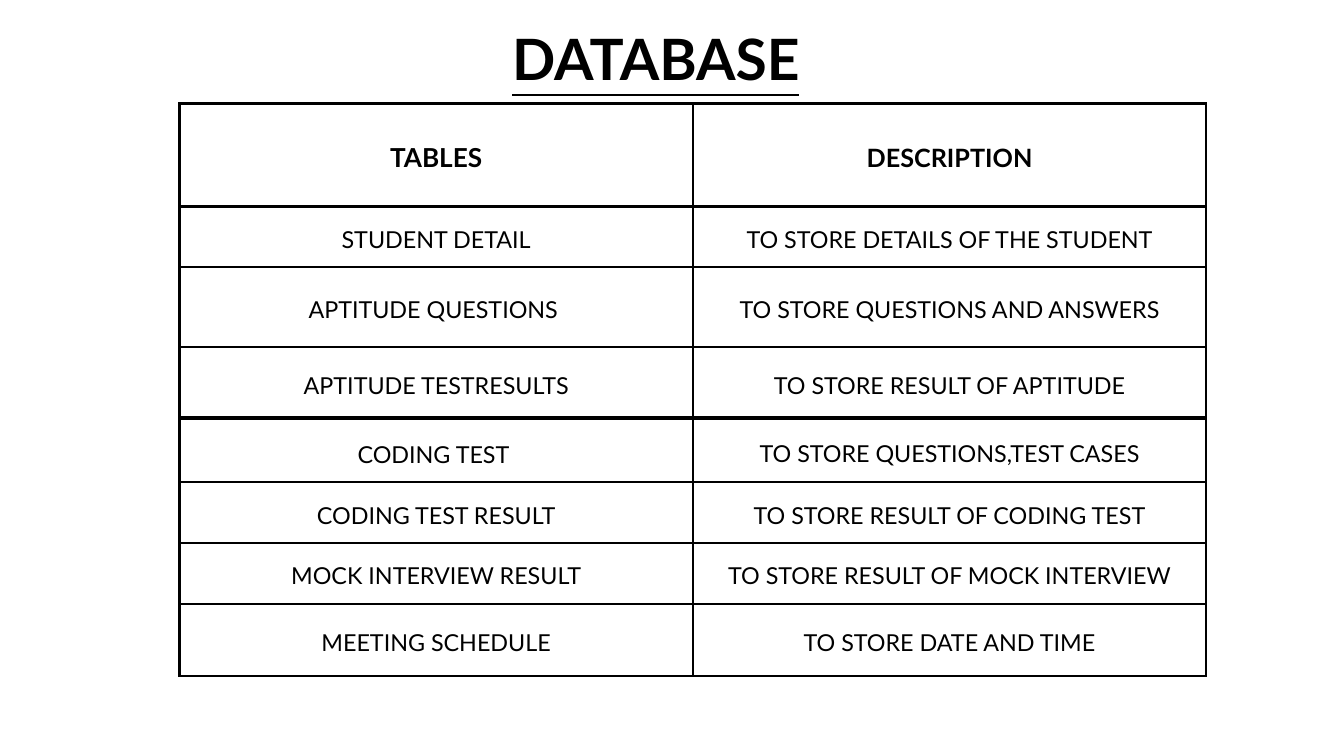
from dataclasses import dataclass

from lxml import etree
from pptx import Presentation, util as u
from pptx.dml.color import RGBColor
from pptx.enum import text
from pptx.oxml.ns import qn


@dataclass(frozen=True)
class Theme:
    font: str = "Lato"
    ink: str = "000000"
    title_size: int = 61
    heading_sizes: tuple = (28, 27)
    body_size: int = 25
    leading: float = 1.4
    border: int = 3
    cell_inset: float = 0.21


THEME = Theme()
SLIDE_WIDTH, SLIDE_HEIGHT = 20, 11.25
TABLE_LEFT, TABLE_TOP, COLUMN_WIDTH = 2.67, 1.54, 7.64

# Each row: height, table name, description
STUDENT_ROWS = [
    (1.53, "TABLES", "DESCRIPTION"),
    (0.81, "STUDENT DETAIL", "TO STORE DETAILS OF THE STUDENT"),
    (1.19, "APTITUDE QUESTIONS ", "TO STORE QUESTIONS AND ANSWERS"),
    (1.07, "APTITUDE TESTRESULTS", "TO STORE RESULT OF APTITUDE"),
]
CODING_ROWS = [
    (0.92, "CODING TEST ", "TO STORE QUESTIONS,TEST CASES"),
    (0.61, "CODING TEST RESULT", "TO STORE RESULT OF CODING TEST"),
    (0.79, "MOCK INTERVIEW RESULT", "TO STORE RESULT OF MOCK INTERVIEW"),
    (1.07, "MEETING SCHEDULE", "TO STORE DATE AND TIME"),
]


def style_paragraph(paragraph, size, bold=False, leading_size=None):
    """Centre a paragraph; leading_size sets line spacing when it differs from size."""
    paragraph.alignment = text.PP_ALIGN.CENTER
    paragraph.line_spacing = u.Pt(round((leading_size or size) * THEME.leading, 1))
    font = paragraph.font
    font.name, font.size, font.bold = THEME.font, u.Pt(size), bold
    font.color.rgb = RGBColor.from_string(THEME.ink)


def add_borders(cell):
    properties = cell._tc.get_or_add_tcPr()
    for position, side in enumerate(("lnL", "lnR", "lnT", "lnB")):
        line = etree.Element(qn(f"a:{side}"), w=str(u.Pt(THEME.border)))
        fill = etree.SubElement(line, qn("a:solidFill"))
        etree.SubElement(fill, qn("a:srgbClr"), val=THEME.ink)
        properties.insert(position, line)


def fill_cell(cell, wording, size, bold, leading_size):
    cell.text = wording
    cell.vertical_anchor = text.MSO_ANCHOR.MIDDLE
    cell.margin_left = cell.margin_right = u.Inches(THEME.cell_inset)
    cell.margin_top = cell.margin_bottom = u.Inches(THEME.cell_inset)
    cell.fill.background()
    style_paragraph(cell.text_frame.paragraphs[0], size, bold, leading_size)
    add_borders(cell)


def add_listing(slide, top, height, rows, has_heading):
    """Add a two-column table; its first row is leaded like a heading in any case."""
    table = slide.shapes.add_table(
        len(rows), 2, u.Inches(TABLE_LEFT), u.Inches(top),
        u.Inches(2 * COLUMN_WIDTH), u.Inches(height)).table
    table.first_row = has_heading
    table.horz_banding = False
    for column in table.columns:
        column.width = u.Inches(COLUMN_WIDTH)
    for row_index, (row_height, *wordings) in enumerate(rows):
        table.rows[row_index].height = u.Inches(row_height)
        is_heading = has_heading and row_index == 0
        for column_index, wording in enumerate(wordings):
            heading_size = THEME.heading_sizes[column_index]
            size = heading_size if is_heading else THEME.body_size
            leading_size = heading_size if row_index == 0 else size
            fill_cell(table.cell(row_index, column_index), wording,
                      size, is_heading, leading_size)


def set_title(slide, wording):
    title = slide.shapes.title
    title.left, title.top = u.Inches(7.25), u.Inches(0.18)
    title.width, title.height = u.Inches(5.02), u.Inches(1.13)
    frame = title.text_frame
    frame.text = wording
    frame.margin_left = frame.margin_right = frame.margin_top = frame.margin_bottom = 0
    frame.vertical_anchor = text.MSO_ANCHOR.TOP
    frame.auto_size = text.MSO_AUTO_SIZE.SHAPE_TO_FIT_TEXT
    style_paragraph(frame.paragraphs[0], THEME.title_size, bold=True)
    frame.paragraphs[0].font.underline = True


def main():
    deck = Presentation()
    deck.slide_width, deck.slide_height = u.Inches(SLIDE_WIDTH), u.Inches(SLIDE_HEIGHT)
    slide = deck.slides.add_slide(deck.slide_layouts.get_by_name("Title Only"))
    set_title(slide, "DATABASE")
    student_height, coding_height = 4.67, 3.73
    add_listing(slide, TABLE_TOP, student_height, STUDENT_ROWS, has_heading=True)
    add_listing(slide, TABLE_TOP + student_height, coding_height, CODING_ROWS,
                has_heading=False)
    deck.save("out.pptx")


if __name__ == "__main__":
    main()
